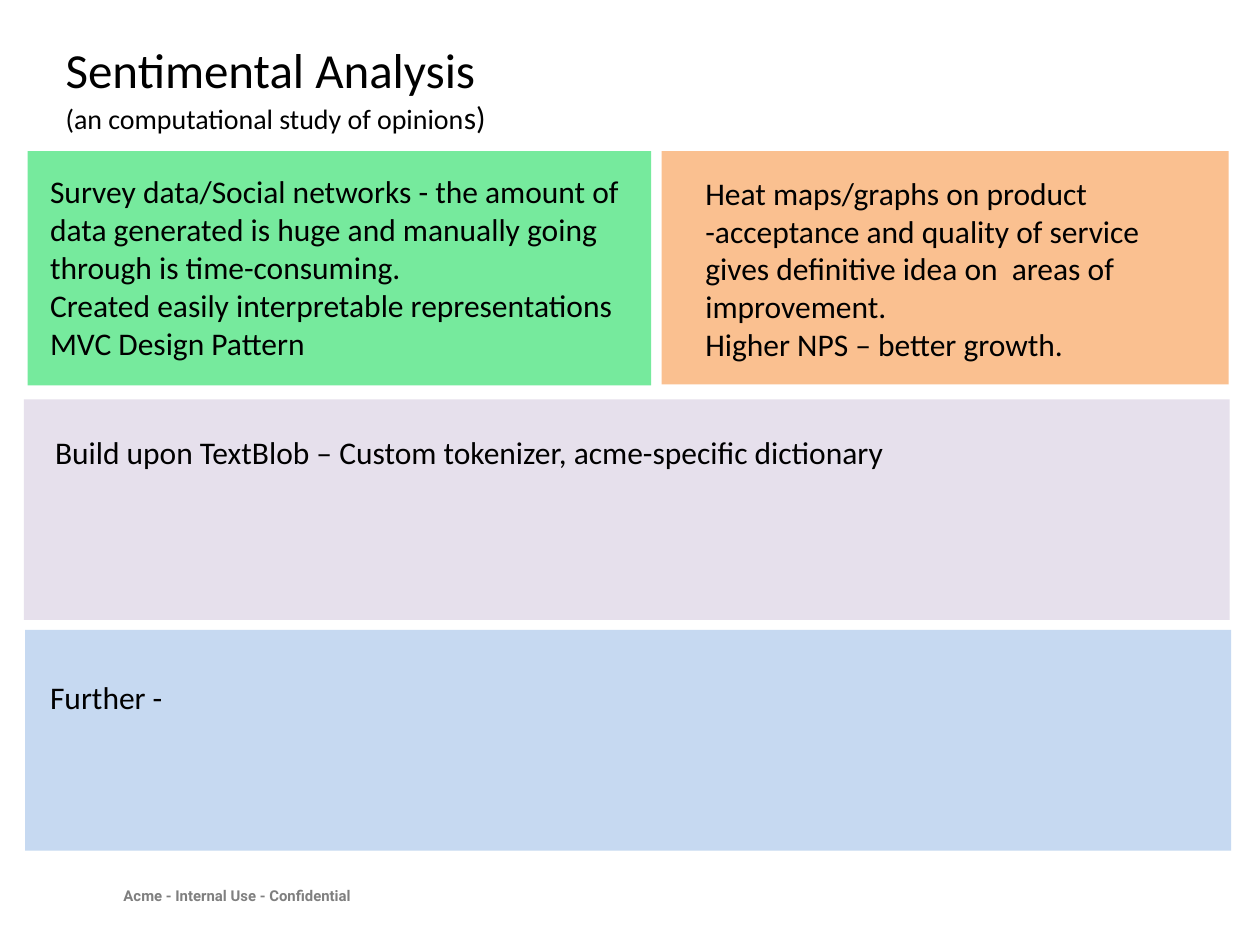
from pptx import Presentation
from pptx.dml.color import RGBColor as Rgb
from pptx.enum.shapes import MSO_SHAPE as Preset
from pptx.enum.text import MSO_ANCHOR as Anchor, MSO_AUTO_SIZE as AutoSize, PP_ALIGN as Align
from pptx.util import Cm, Pt

COLORS = {
    "white": "FFFFFF",
    "black": "000000",
    "grey": "7F7F7F",
    "green": "76EA9D",
    "orange": "FAC090",
    "lilac": "E6E0EC",
    "blue": "C6D9F1",
}
BODY = {"name": "Calibri", "size": Pt(18), "bold": False}
FOOTER = {"name": "Roboto", "size": Pt(8.5), "bold": True}


def add_run(paragraph, text, font_format, color):
    run = paragraph.add_run()
    run.text = text
    for name, value in font_format.items():
        setattr(run.font, name, value)
    run.font.color.rgb = Rgb.from_string(COLORS[color])


presentation = Presentation()
presentation.slide_width = Cm(25.4)
presentation.slide_height = Cm(19.05)
slide = presentation.slides.add_slide(presentation.slide_layouts[5])

title = slide.shapes.title
title_format = {"left": Cm(1.07), "top": Cm(0.66), "width": Cm(10.36), "height": Cm(2.24)}
for name, value in title_format.items():
    setattr(title, name, value)
title.fill.solid()
title.fill.fore_color.rgb = Rgb.from_string(COLORS["white"])
title_frame = title.text_frame
frame_format = {"word_wrap": True, "auto_size": AutoSize.NONE, "vertical_anchor": Anchor.TOP}
for name, value in frame_format.items():
    setattr(title_frame, name, value)

title_lines = [
    [("Sentimental Analysis", 28)],
    [("(an computational study of opinion", 16), ("s)", 18)],
]
for index, line in enumerate(title_lines):
    paragraph = title_frame.add_paragraph() if index else title_frame.paragraphs[0]
    paragraph.alignment = Align.LEFT
    for text, size in line:
        add_run(paragraph, text, BODY | {"size": Pt(size)}, "black")

panels = [
    ("green", 0.56, 3.05, 12.57, 4.72),
    ("orange", 13.34, 3.05, 11.43, 4.7),
    ("lilac", 0.48, 8.05, 24.31, 4.45),
    ("blue", 0.51, 12.7, 24.31, 4.45),
]
for color, *box in panels:
    panel = slide.shapes.add_shape(Preset.RECTANGLE, *map(Cm, box))
    panel.shadow.inherit = False
    panel.fill.solid()
    panel.fill.fore_color.rgb = Rgb.from_string(COLORS[color])
    panel.line.fill.background()

texts = [
    ((0.76, 3.35, 12.14, 4.11), BODY, "black", [
        "Survey data/Social networks - the amount of data generated is huge "
        "and manually going through is time-consuming.",
        "Created easily interpretable representations",
        "MVC Design Pattern",
    ]),
    ((13.97, 3.38, 10.64, 4.11), BODY, "black", [
        "Heat maps/graphs on product -acceptance and quality of service "
        "gives definitive idea on  areas of improvement.",
        "Higher NPS – better growth.",
    ]),
    ((0.86, 8.61, 23.85, 2.57), BODY, "black", [
        "Build upon TextBlob – Custom tokenizer, acme-specific dictionary",
    ]),
    ((0.76, 13.54, 23.57, 1.02), BODY, "black", ["Further -"]),
    ((2.24, 17.75, 23.16, 1.4), FOOTER, "grey", ["Acme - Internal Use - Confidential"]),
]
for box, font_format, color, lines in texts:
    text_frame = slide.shapes.add_textbox(*map(Cm, box)).text_frame
    text_frame.word_wrap = True
    for index, line in enumerate(lines):
        paragraph = text_frame.add_paragraph() if index else text_frame.paragraphs[0]
        add_run(paragraph, line, font_format, color)

presentation.save("out.pptx")
